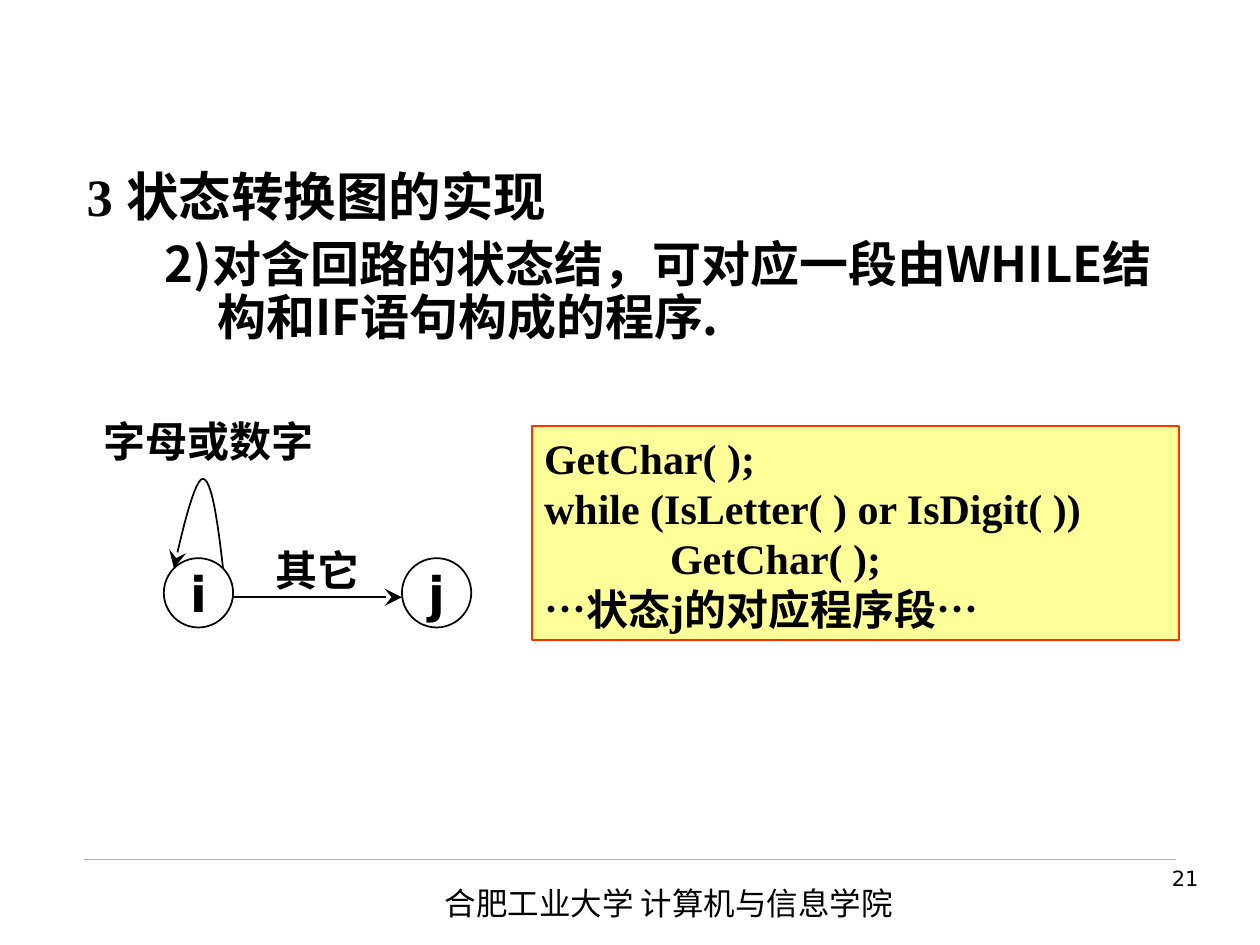
from lxml.etree import SubElement as Sub
from pptx import Presentation
from pptx.dml.color import RGBColor
from pptx.enum.shapes import MSO_CONNECTOR as Conn, MSO_SHAPE as Kind
from pptx.enum.text import MSO_ANCHOR as Anchor, PP_ALIGN as Align
from pptx.oxml.ns import qn
from pptx.util import Inches, Pt

# Content
CJK, SERIF, SANS = "Noto Sans CJK SC", "Times New Roman", "DejaVu Sans"
HEAD = [("3 ", SERIF), ("状态转换图的实现", CJK)]
BODY = "2)对含回路的状态结，可对应一段由WHILE结构和IF语句构成的程序."
CODE = ["GetChar( );", "while (IsLetter( ) or IsDigit( ))",
        "\tGetChar( );", "…状态j的对应程序段…"]
# Boxes: text, place, size, font, bold, alignment
LABELS = [
    ("合肥工业大学 计算机与信息学院", (3.43, 6.97, 4.72, 0.4), 18, CJK, False, Align.LEFT),
    ("21", (7.44, 6.82, 2.17, 0.52), 12, SANS, False, Align.RIGHT),
    ("字母或数字", (0.67, 3.25, 1.97, 0.5), 24, "Arial", True, Align.CENTER),
    ("其它", (2.02, 4.27, 1, 0.5), 24, "Arial", True, Align.CENTER),
]
STATES = [("i", 1.3), ("j", 3.19)]
TOP, SIZE = 4.43, 0.55
# Loop on state i: two Bezier curves that meet at the top
LOOP = [((1.77, 4.51), (1.73, 4.15), (1.68, 3.8), (1.61, 3.8)),
        ((1.61, 3.8), (1.55, 3.8), (1.46, 4.15), (1.38, 4.51))]
STEPS = 12


def color(code):
    return RGBColor.from_string(code)


def place(at):
    return [Inches(v) for v in at]


def add_run(para, text, size, font, bold=True):
    run = para.add_run()
    run.text = text
    run.font.size, run.font.name, run.font.bold = Pt(size), font, bold
    run.font.color.rgb = color("000000")
    Sub(run.font._element, qn("a:ea"), typeface=CJK)


def add_box(at):
    box = slide.shapes.add_textbox(*place(at))
    box.text_frame.word_wrap = True
    return box.text_frame


def paint(shape, edge, fill=None):
    shape.shadow.inherit = False
    if fill:
        shape.fill.solid()
        shape.fill.fore_color.rgb = color(fill)
    else:
        shape.fill.background()
    shape.line.color.rgb, shape.line.width = color(edge), Pt(1)


def add_shape(kind, at, edge, fill=None):
    shape = slide.shapes.add_shape(kind, *place(at))
    paint(shape, edge, fill)
    shape.text_frame.vertical_anchor = Anchor.MIDDLE
    return shape.text_frame


def add_head(shape):
    Sub(shape.line._get_or_add_ln(), qn("a:tailEnd"), type="stealth", w="lg", len="lg")


def add_line(start, end, edge, width):
    line = slide.shapes.add_connector(Conn.STRAIGHT, *place(start + end))
    line.line.color.rgb, line.line.width = color(edge), Pt(width)
    Sub(line._element.spPr, qn("a:effectLst"))
    return line


def curve(pts, t):
    s = 1 - t
    parts = (s ** 3, 3 * s * s * t, 3 * s * t * t, t ** 3)
    return tuple(Inches(sum(w * p[i] for w, p in zip(parts, pts))) for i in (0, 1))


deck = Presentation()
deck.slide_width, deck.slide_height = Inches(10), Inches(7.5)
slide = deck.slides.add_slide(deck.slide_layouts[6])

# Footer rule
add_line((0.67, 6.82), (9.33, 6.82), "B2B2B2", 0.25)

# Heading and point
frame = add_box((0.59, 1.31, 9, 1.65))
head, point = frame.paragraphs[0], frame.add_paragraph()
for para, left, first in ((head, 0.51, -0.51), (point, 1.04, -0.42)):
    para.line_spacing = 0.9
    props = para._p.get_or_add_pPr()
    props.set("marL", str(Inches(left)))
    props.set("indent", str(Inches(first)))
point.level, point.space_before = 1, Pt(7)
for text, font in HEAD:
    add_run(head, text, 30, font)
add_run(point, BODY, 28, CJK)

# States
for name, left in STATES:
    frame = add_shape(Kind.OVAL, (left, TOP, SIZE, SIZE), "000000")
    frame.word_wrap = False
    frame.paragraphs[0].alignment = Align.CENTER
    add_run(frame.paragraphs[0], name, 28, SANS)

# Moves between states
add_head(add_line((STATES[0][1] + SIZE, 4.74), (STATES[1][1], 4.74), "000000", 1))
dots = [curve(pts, n / STEPS) for pts in LOOP for n in range(1, STEPS + 1)]
pen = slide.shapes.build_freeform(*curve(LOOP[0], 0))
pen.add_line_segments(dots, close=False)
loop = pen.convert_to_shape()
paint(loop, "000000")
add_head(loop)

# Labels and footer
for text, at, size, font, bold, align in LABELS:
    para = add_box(at).paragraphs[0]
    para.alignment = align
    add_run(para, text, size, font, bold)

# Code, with a tab stop one inch in
frame = add_shape(Kind.RECTANGLE, (4.22, 3.38, 5.14, 1.7), "FF3300", "FFFF99")
frame.word_wrap = True
for n, text in enumerate(CODE):
    para = frame.add_paragraph() if n else frame.paragraphs[0]
    para.alignment = Align.LEFT
    tabs = Sub(para._p.get_or_add_pPr(), qn("a:tabLst"))
    Sub(tabs, qn("a:tab"), pos=str(Inches(1)), algn="l")
    add_run(para, text, 24, SERIF)

deck.save("out.pptx")
